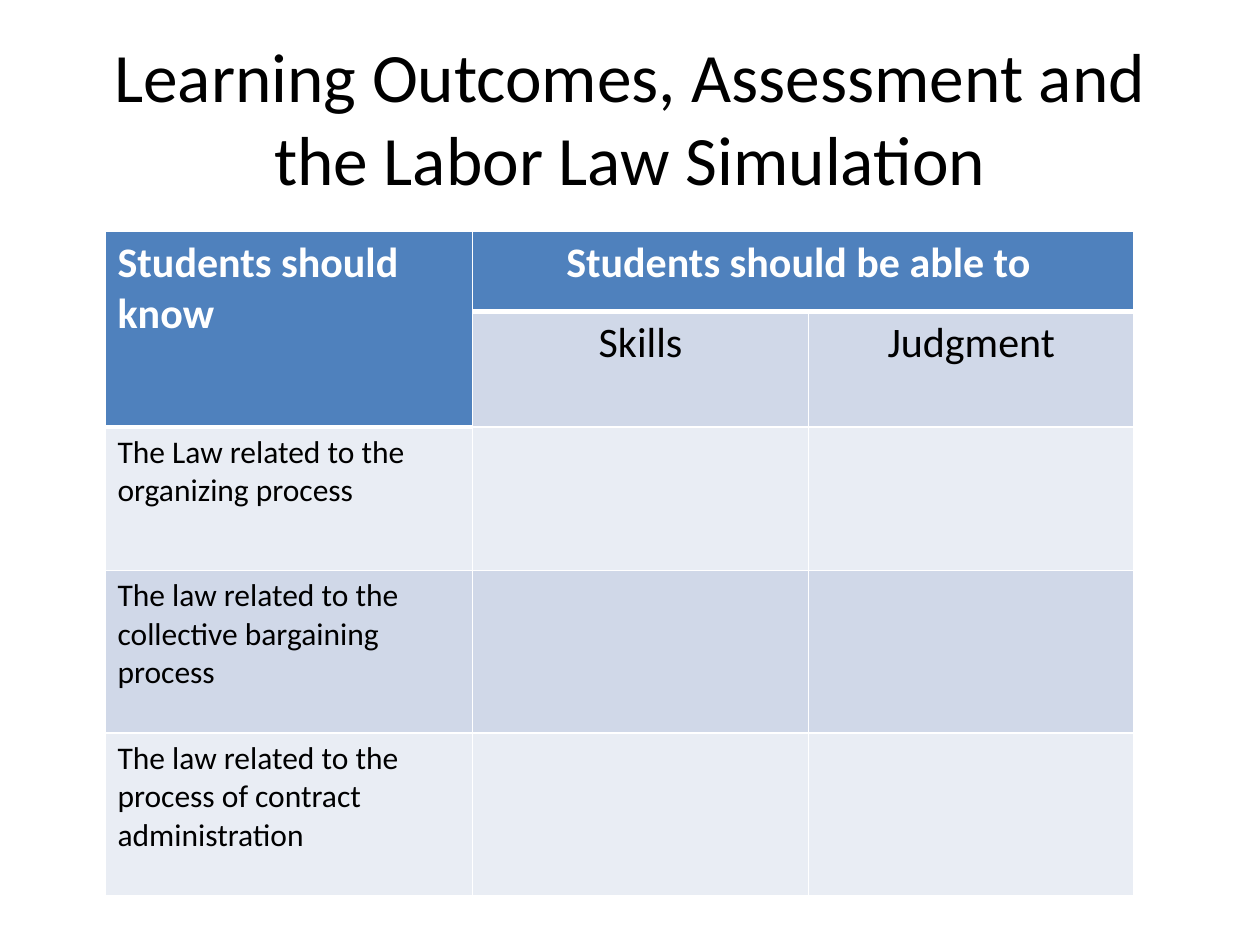
from lxml import etree
from pptx import Presentation
from pptx.dml.color import RGBColor
from pptx.enum.text import MSO_ANCHOR, PP_ALIGN
from pptx.oxml.ns import qn
from pptx.util import Pt

LEFT, CENTER = PP_ALIGN.LEFT, PP_ALIGN.CENTER
MIDDLE = MSO_ANCHOR.MIDDLE

FONT = "Calibri"
WHITE, BLACK = "FFFFFF", "000000"
HEADER_FILL = "4F81BD"
BAND_FILLS = ["D0D8E8", "E9EDF4"]

COLUMN_WIDTHS = [210, 192, 186]
ROW_HEIGHTS = [46, 66, 82, 93, 93]
TOPICS = [
    "The Law related to the organizing process",
    "The law related to the collective bargaining process",
    "The law related to the process of contract administration",
]


def color(hex_value):
    return RGBColor.from_string(hex_value)


def write_text(text_frame, text, size, hex_value, alignment, bold=False):
    text_frame.text = text
    paragraph = text_frame.paragraphs[0]
    paragraph.alignment = alignment
    font = paragraph.runs[0].font
    font.name, font.size, font.bold = FONT, Pt(size), bold
    font.color.rgb = color(hex_value)


def style_cell(cell, fill, bottom_width=1):
    """Give the cell white borders and a solid fill; borders come first in the XML."""
    properties = cell._tc.get_or_add_tcPr()
    for side in "LRTB":
        width = bottom_width if side == "B" else 1
        line = etree.SubElement(properties, qn(f"a:ln{side}"), w=str(Pt(width)))
        solid = etree.SubElement(line, qn("a:solidFill"))
        etree.SubElement(solid, qn("a:srgbClr"), val=WHITE)
    cell.fill.solid()
    cell.fill.fore_color.rgb = color(fill)


def add_title(slide, text):
    title = slide.shapes.title
    title.left, title.top, title.width, title.height = Pt(36), Pt(21.6), Pt(648), Pt(90)
    title.text_frame.vertical_anchor = MIDDLE
    write_text(title.text_frame, text, 39.6, BLACK, CENTER)


def add_outcomes_table(slide):
    shape = slide.shapes.add_table(
        len(ROW_HEIGHTS), len(COLUMN_WIDTHS), Pt(60), Pt(132),
        Pt(sum(COLUMN_WIDTHS)), Pt(sum(ROW_HEIGHTS)))
    table = shape.table
    for column, width in zip(table.columns, COLUMN_WIDTHS):
        column.width = Pt(width)
    for row, height in zip(table.rows, ROW_HEIGHTS):
        row.height = Pt(height)

    for row_index in range(len(ROW_HEIGHTS)):
        for column_index in range(len(COLUMN_WIDTHS)):
            is_header = row_index == 0 or (row_index == 1 and column_index == 0)
            fill = HEADER_FILL if is_header else BAND_FILLS[(row_index - 1) % 2]
            style_cell(table.cell(row_index, column_index), fill, 3 if is_header else 1)

    know, able = table.cell(0, 0), table.cell(0, 1)
    know.merge(table.cell(1, 0))
    able.merge(table.cell(0, 2))
    write_text(know.text_frame, "Students should know", 24, WHITE, LEFT, bold=True)
    write_text(able.text_frame, "Students should be able to ", 24, WHITE, CENTER, bold=True)
    for column_index, heading in enumerate(["Skills", "Judgment"], start=1):
        write_text(table.cell(1, column_index).text_frame, heading, 24, BLACK, CENTER)
    for row_index, topic in enumerate(TOPICS, start=2):
        write_text(table.cell(row_index, 0).text_frame, topic, 18, BLACK, LEFT)


def main():
    presentation = Presentation()
    presentation.slide_width, presentation.slide_height = Pt(720), Pt(540)
    slide = presentation.slides.add_slide(presentation.slide_layouts.get_by_name("Title Only"))
    add_title(slide, "Learning Outcomes, Assessment and the Labor Law Simulation")
    add_outcomes_table(slide)
    presentation.save("out.pptx")


if __name__ == "__main__":
    main()
